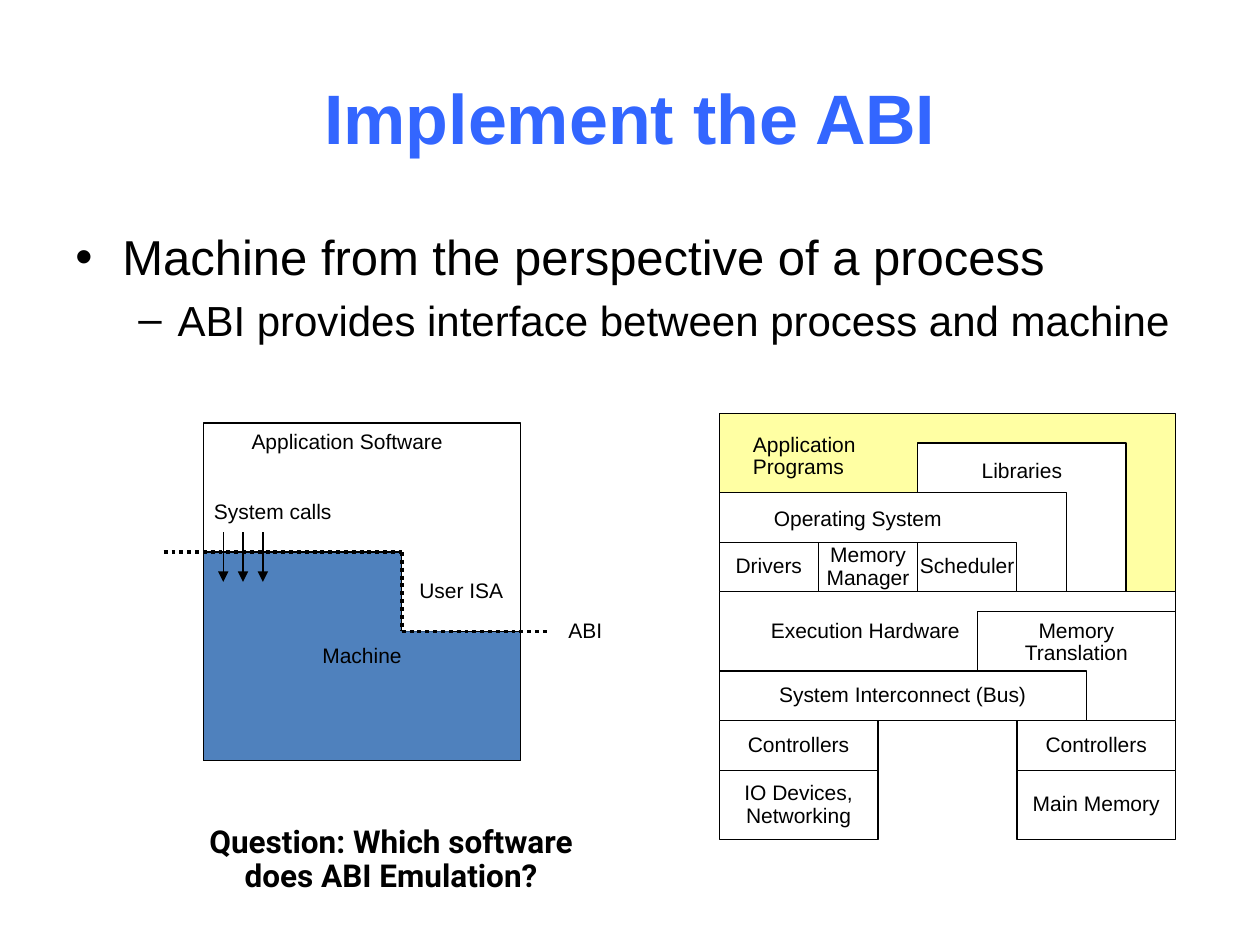
from lxml.etree import SubElement
from pptx import Presentation
from pptx.dml.color import RGBColor
from pptx.enum.dml import MSO_LINE_DASH_STYLE as Dash
from pptx.enum.shapes import MSO_CONNECTOR as Link, MSO_SHAPE as Shape
from pptx.enum.text import MSO_ANCHOR as Anchor, PP_ALIGN as Align
from pptx.oxml.ns import qn
from pptx.util import Cm, Pt

BLACK = RGBColor(0x00, 0x00, 0x00)
WHITE = RGBColor(0xFF, 0xFF, 0xFF)
TITLE_BLUE = RGBColor(0x33, 0x66, 0xFF)
MACHINE_BLUE = RGBColor(0x4F, 0x81, 0xBD)
YELLOW = RGBColor(0xFF, 0xFF, 0x99)

LABEL = {"name": "Arial", "size": Pt(12)}
TITLE = {"name": "Arial", "size": Pt(40), "bold": True}
QUESTION = {"name": "Roboto", "size": Pt(18), "bold": True}

TITLE_TEXT = "Implement the ABI"
QUESTION_LINES = ["Question: Which software", "does ABI Emulation?"]
# text, bullet, size, left margin, hanging indent, space before
BULLETS = [
    ("Machine from the perspective of a process", "•", 28, 0.95, 0.95, 0),
    ("ABI provides interface between process and machine", "–", 24, 2.06, 0.79, 4.8),
]

# left, top, width, height in cm from the diagram's corner
PROCESS_ORIGIN = (4.1, 8.53)
PROCESS_BLOCKS = [
    ((0, 0, 6.4, 6.8), None, True),
    ((0, 2.6, 4, 4.2), MACHINE_BLUE, True),
    ((4.6, 4.2, 1.8, 2.6), MACHINE_BLUE, True),
    ((3.8, 4.2, 1.8, 2.6), MACHINE_BLUE, False),
]
PROCESS_LABELS = [
    ("Machine", (1.4, 4.2, 3.6, 1)),
    ("System calls", (-0.4, 1.4, 3.6, 0.8)),
    ("User ISA", (4, 3, 2.4, 0.8)),
    ("ABI", (7, 3.8, 1.4, 0.8)),
    ("Application Software", (0.6, 0, 4.6, 0.8)),
]
MACHINE_EDGES = [(3.6, 6.8, 5.6, 6.8), (4, 4.2, 5.6, 4.2)]
ABI_STEPS = [(-0.8, 2.6), (4, 2.6), (4, 4.2), (7, 4.2)]
CALL_COLUMNS = [0.4, 0.8, 1.2]
CALL_TOP, CALL_BOTTOM = 2.2, 3.2

# lines, place, text inset from left and top (None means centred)
SYSTEM_ORIGIN = (14.5, 8.33)
SYSTEM_BLOCKS = [
    (["Application", "Programs"], (0, 0, 9.2, 3.6), 0.68, 0.42),
    (["Libraries"], (4, 0.6, 4.2, 3), None, 0.35),
    (["Operating System"], (0, 1.6, 7, 2), 1.1, 0.31),
    (["Execution Hardware"], (0, 3.6, 9.2, 1.6), 1.04, None),
    (["Memory", "Translation"], (5.2, 4, 4, 2.2), None, 0.17),
    (["IO Devices,", "Networking"], (0, 7.2, 3.2, 1.4), None, None),
    (["Controllers"], (0, 6.2, 3.2, 1), None, None),
    (["System Interconnect (Bus)"], (0, 5.2, 7.4, 1), None, None),
    (["Controllers"], (6, 6.2, 3.2, 1), None, None),
    (["Main Memory"], (6, 7.2, 3.2, 1.4), None, None),
    (["Drivers"], (0, 2.6, 2, 1), None, None),
    (["Memory", "Manager"], (2, 2.6, 2, 1), None, None),
    (["Scheduler"], (4, 2.6, 2, 1), None, None),
]


def place(origin, area):
    left, top, width, height = area
    return [Cm(v) for v in (origin[0] + left, origin[1] + top, width, height)]


def style(target, values):
    for name, value in values.items():
        setattr(target, name, value)


def add_block(page, origin, area, fill, outlined=True):
    block = page.shapes.add_shape(Shape.RECTANGLE, *place(origin, area))
    block.shadow.inherit = False
    if fill is None:
        block.fill.background()
    else:
        block.fill.solid()
        block.fill.fore_color.rgb = fill
    if outlined:
        block.line.color.rgb = BLACK
        block.line.width = Pt(0.75)
    else:
        block.line.fill.background()
    return block


def write(box, lines, font, color=BLACK, spacing=0.9, align=Align.CENTER, **frame):
    text = box.text_frame
    style(text, {"word_wrap": False, "vertical_anchor": Anchor.MIDDLE, **frame})
    for index, line in enumerate(lines):
        para = text.paragraphs[0] if index == 0 else text.add_paragraph()
        style(para, {"alignment": align, "line_spacing": spacing})
        span = para.add_run()
        span.text = line
        style(span.font, font)
        span.font.color.rgb = color


def add_line(page, origin, start, end, width=0.75, dash=None, arrow=False):
    points = [Cm(o + v) for point in (start, end) for o, v in zip(origin, point)]
    line = page.shapes.add_connector(Link.STRAIGHT, *points)
    line.line.color.rgb = BLACK
    line.line.width = Pt(width)
    if dash:
        line.line.dash_style = dash
    if arrow:
        SubElement(line.line._get_or_add_ln(), qn("a:tailEnd"), type="triangle")
    SubElement(line._element.spPr, qn("a:effectLst"))


def add_bullets(page):
    text = page.shapes.add_textbox(Cm(1.27), Cm(4.45), Cm(22.86), Cm(12.57)).text_frame
    text.word_wrap = True
    for index, (words, mark, size, margin, hang, before) in enumerate(BULLETS):
        para = text.paragraphs[0] if index == 0 else text.add_paragraph()
        props = para._p.get_or_add_pPr()
        props.set("marL", str(Cm(margin)))
        props.set("indent", str(-Cm(hang)))
        SubElement(props, qn("a:buFont"), typeface="Arial")
        SubElement(props, qn("a:buChar"), char=mark)
        para.space_before = Pt(before)
        span = para.add_run()
        span.text = words
        style(span.font, {"name": "Arial", "size": Pt(size)})
        span.font.color.rgb = BLACK


def add_process(page):
    for area, fill, outlined in PROCESS_BLOCKS:
        add_block(page, PROCESS_ORIGIN, area, fill, outlined)
    for x1, y1, x2, y2 in MACHINE_EDGES:
        add_line(page, PROCESS_ORIGIN, (x1, y1), (x2, y2))
    for words, area in PROCESS_LABELS:
        if words == "Machine":
            box = add_block(page, PROCESS_ORIGIN, area, MACHINE_BLUE, False)
        else:
            box = page.shapes.add_textbox(*place(PROCESS_ORIGIN, area))
        write(box, [words], LABEL)
    for start, end in zip(ABI_STEPS, ABI_STEPS[1:]):
        add_line(page, PROCESS_ORIGIN, start, end, 2.25, Dash.ROUND_DOT)
    for x in CALL_COLUMNS:
        add_line(page, PROCESS_ORIGIN, (x, CALL_TOP), (x, CALL_BOTTOM), arrow=True)


def add_system(page):
    for index, (lines, area, left, top) in enumerate(SYSTEM_BLOCKS):
        block = add_block(page, SYSTEM_ORIGIN, area, WHITE if index else YELLOW)
        if index == 0:
            color = block._element.spPr.find(qn("a:solidFill"))[0]
            SubElement(color, qn("a:alpha"), val="90000")
        frame = {"margin_left": 0, "margin_right": 0, "margin_top": 0, "margin_bottom": 0}
        align = Align.CENTER
        if left is not None:
            align = Align.LEFT
            frame.update(margin_left=Cm(left), word_wrap=True)
        if top is not None:
            frame.update(margin_top=Cm(top), vertical_anchor=Anchor.TOP)
        write(block, lines, LABEL, align=align, **frame)


def main():
    deck = Presentation()
    deck.slide_width, deck.slide_height = Cm(25.4), Cm(19.05)
    page = deck.slides.add_slide(deck.slide_layouts[6])
    title = page.shapes.add_textbox(Cm(1.27), Cm(0.76), Cm(22.86), Cm(3.18))
    write(title, [TITLE_TEXT], TITLE, TITLE_BLUE, 1.0, word_wrap=True)
    add_bullets(page)
    add_process(page)
    add_system(page)
    question = page.shapes.add_textbox(Cm(1.85), Cm(16.54), Cm(12.07), Cm(1.65))
    write(question, QUESTION_LINES, QUESTION, word_wrap=True, vertical_anchor=Anchor.TOP)
    deck.save("out.pptx")


if __name__ == "__main__":
    main()
